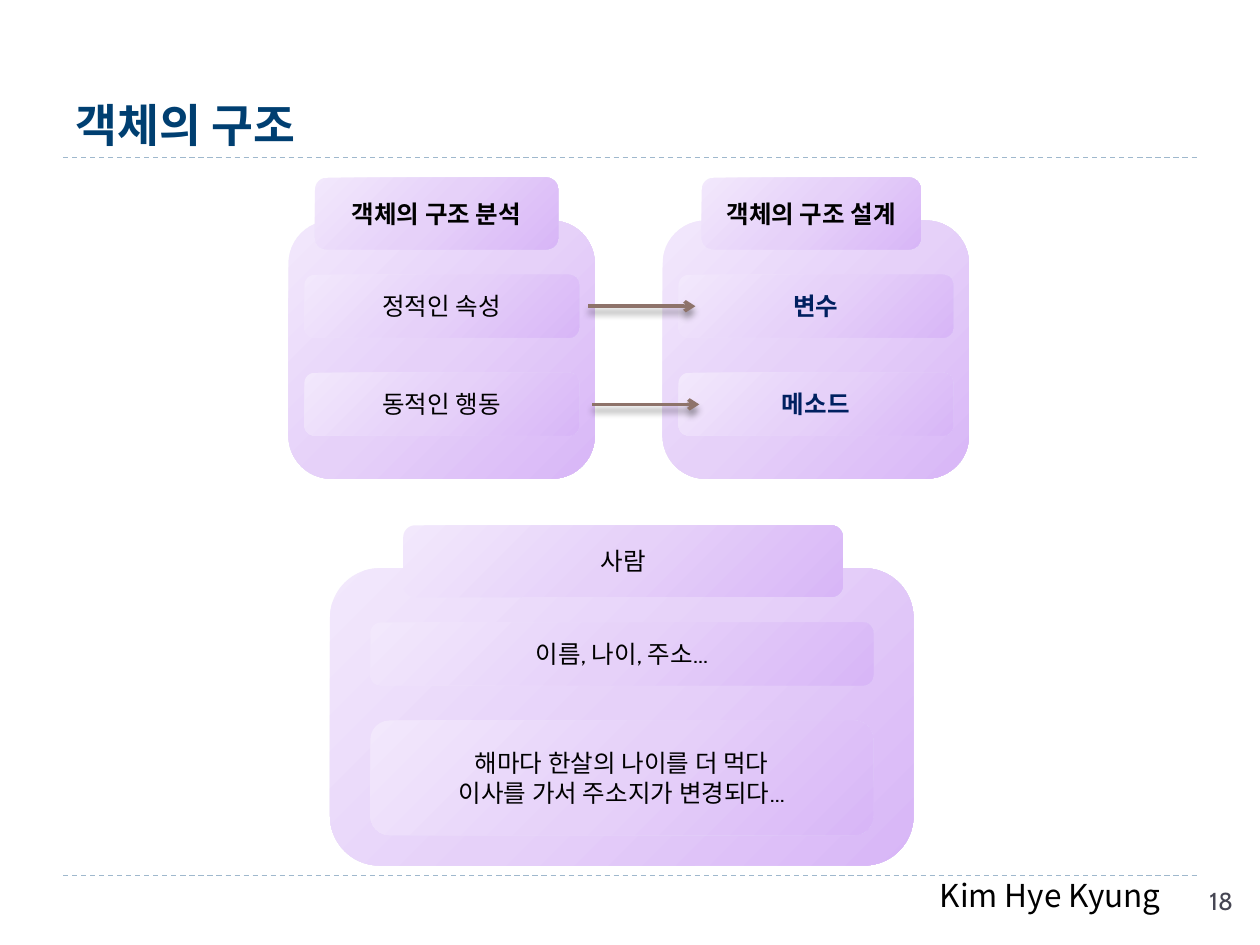
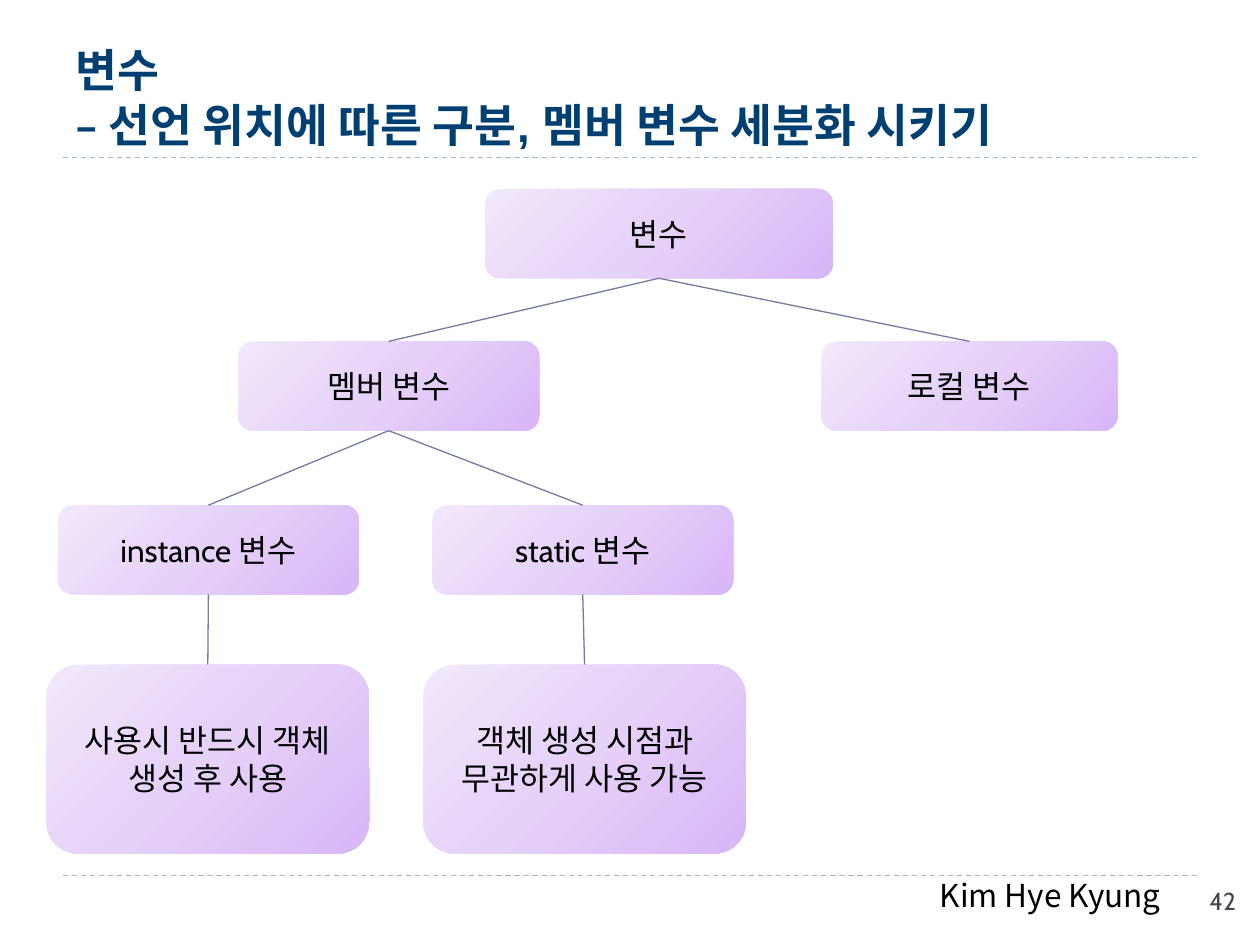
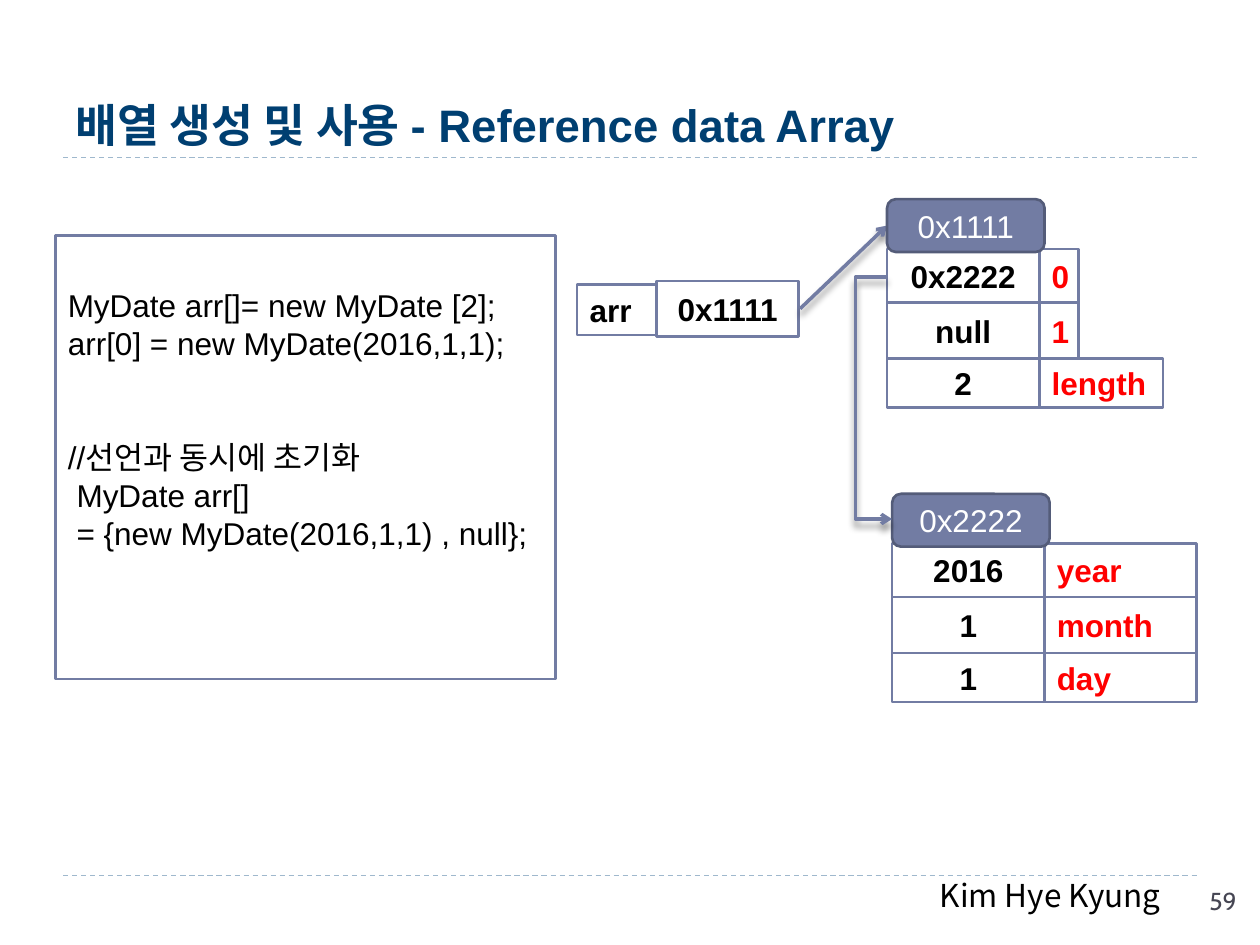
from pptx import Presentation
from pptx.dml.color import RGBColor
from pptx.enum import dml, shapes, text
from pptx.oxml import parse_xml
from pptx.oxml.ns import nsdecls, qn
from pptx.util import Pt

BLACK, WHITE, RED, NAVY = "000000", "FFFFFF", "FF0000", "002060"
TITLE, RULE, PAGE = "003F71", "9FB8CD", "464653"
SLATE, EDGE, BROWN = "727CA3", "545C79", "8E736A"
LILAC = [(0, "D8B6F7"), (50, "E6D1F9"), (100, "F2E8FC")]
BODY, CODE, FOOT = "Cabin", "Arial", "Noto Sans CJK KR"
ROUND = shapes.MSO_SHAPE.ROUNDED_RECTANGLE
RECT = shapes.MSO_SHAPE.RECTANGLE
LEFT, MID = text.PP_ALIGN.LEFT, text.PP_ALIGN.CENTER


def hue(code):
    """Turn a hex string into a colour."""
    return RGBColor.from_string(code)


def pts(box):
    """Turn plain numbers into point lengths."""
    return [Pt(n) for n in box]


def write(frame, lines, size, font=BODY, color=BLACK, bold=False, align=LEFT):
    """Fill a text frame with one paragraph for each line."""
    frame.word_wrap = True
    for i, line in enumerate(lines):
        para = frame.paragraphs[0] if i == 0 else frame.add_paragraph()
        para.alignment = align
        for j, part in enumerate(line.split("\v")):
            if j:
                para.add_line_break()
            run = para.add_run()
            run.text = part
            run.font.size, run.font.bold = Pt(size), bold
            run.font.name = font
            run.font.color.rgb = hue(color)
            east = FOOT if font == FOOT else BODY
            run.font._element.append(
                parse_xml(f'<a:ea {nsdecls("a")} typeface="{east}"/>'))


def glow(shape):
    """Fill a shape with the lilac gradient that spreads from its corner."""
    stops = "".join(
        f'<a:gs pos="{pos * 1000}"><a:srgbClr val="{code}"/></a:gs>'
        for pos, code in LILAC)
    shape.fill.background()
    props = shape._element.spPr
    props.replace(props.find(qn("a:noFill")), parse_xml(
        f'<a:gradFill {nsdecls("a")} rotWithShape="1"><a:gsLst>{stops}</a:gsLst>'
        '<a:path path="circle"><a:fillToRect l="100000" t="100000"/></a:path>'
        '</a:gradFill>'))


def block(slide, kind, box, lines=(), size=18, fill=None, edge=None, **style):
    """Add a shape with text; it is lilac when no fill is given."""
    shape = slide.shapes.add_shape(kind, *pts(box))
    if fill:
        shape.fill.solid()
        shape.fill.fore_color.rgb = hue(fill)
    else:
        glow(shape)
    if edge:
        shape.line.color.rgb = hue(edge)
        shape.line.width = Pt(1.5)
    else:
        shape.line.fill.background()
    shape.shadow.inherit = False
    shape.text_frame.vertical_anchor = text.MSO_ANCHOR.MIDDLE
    write(shape.text_frame, lines, size, **style)
    return shape


def link(slide, start, end, color, width=0.75, arrow=False, dash=False,
         kind=shapes.MSO_CONNECTOR.STRAIGHT):
    """Join two points; an arrow also casts a soft shadow."""
    line = slide.shapes.add_connector(kind, *pts((*start, *end)))
    line.line.color.rgb = hue(color)
    line.line.width = Pt(width)
    if dash:
        line.line.dash_style = dml.MSO_LINE.DASH
    shade = ""
    if arrow:
        line.line._get_or_add_ln().append(
            parse_xml(f'<a:tailEnd {nsdecls("a")} type="arrow"/>'))
        shade = (f'<a:outerShdw blurRad="{Pt(4)}" dist="{Pt(3.4)}" dir="5400000" '
                 'rotWithShape="0"><a:srgbClr val="000000"><a:alpha val="40000"/>'
                 '</a:srgbClr></a:outerShdw>')
    line._element.spPr.append(
        parse_xml(f'<a:effectLst {nsdecls("a")}>{shade}</a:effectLst>'))
    return line


def label(slide, box, words, size, **style):
    """Add a plain line of text."""
    area = slide.shapes.add_textbox(*pts(box))
    write(area.text_frame, [words], size, **style)


def start(deck, title, page):
    """Add a slide with its title, rules and footer."""
    slide = deck.slides.add_slide(deck.slide_layouts[5])
    for y in (500.4, 90):
        link(slide, (36, y), (684, y), RULE, dash=True)
    label(slide, (529.9, 496.8, 151.2, 28.8), "Kim Hye Kyung", 18, font=FOOT)
    head = slide.shapes.title
    head.left, head.top, head.width, head.height = pts((36, 12.2, 648, 77.8))
    head.text_frame.vertical_anchor = text.MSO_ANCHOR.BOTTOM
    head.text_frame.auto_size = text.MSO_AUTO_SIZE.NONE
    write(head.text_frame, [title], 26, font=CODE, color=TITLE, bold=True)
    label(slide, (684, 502.6, 36, 28.8), page, 14, color=PAGE)
    return slide


def panel(slide, box, head, tab, inset, rows, strong=False):
    """Draw a panel with a tab on its top edge and two rows inside."""
    x, y, wide, _ = box
    shift, span = tab
    block(slide, ROUND, box)
    block(slide, ROUND, (x + shift, y - 24.5, span, 41), [head], 14,
          bold=strong, align=MID)
    for drop, (lines, high, color, bold) in zip((31, 87), rows):
        block(slide, ROUND, (x + inset, y + drop, wide - 2 * inset, high),
              lines, 14, color=color, bold=bold, align=MID)


def build_parts(deck):
    """Show how the parts of an object map to code."""
    slide = start(deck, "객체의 구조", "18")
    panel(slide, (378.7, 126, 175, 147.6), "객체의 구조 설계", (22.3, 125.3), 9,
          [(["변수"], 36, NAVY, True), (["메소드"], 36, NAVY, True)], True)
    panel(slide, (188.6, 324.7, 333.4, 169.9), "사람", (41.8, 251.3), 23,
          [(["이름, 나이, 주소..."], 36, BLACK, False),
           (["해마다 한살의 나이를 더 먹다", "이사를 가서 주소지가 변경되다..."],
            65.5, BLACK, False)])
    panel(slide, (164.9, 126, 175, 147.6), "객체의 구조 분석", (15.1, 139), 9,
          [(["정적인 속성"], 36, BLACK, False),
           (["동적인 행동"], 36, BLACK, False)], True)
    for x, y in ((336.2, 175), (338.4, 231.1)):
        link(slide, (x, y), (x + 61.2, y), BROWN, 2, arrow=True)


def build_tree(deck):
    """Show the kinds of variables as a tree."""
    slide = start(deck, "변수\v– 선언 위치에 따른 구분, 멤버 변수 세분화 시키기", "42")
    nodes = {
        "root": ("변수", 277.2, 108, 198.7, 51),
        "member": ("멤버 변수", 136.1, 195.1, 172, 51),
        "local": ("로컬 변수", 469.4, 195.1, 169.2, 51),
        "instance": ("instance 변수", 33.1, 288.7, 172, 51),
        "static": ("static 변수", 247, 288.7, 172, 51),
        "after": ("사용시 반드시 객체 생성 후 사용", 26.6, 379.8, 184.3, 108),
        "free": ("객체 생성 시점과 무관하게 사용 가능", 241.9, 379.8, 184.3, 108),
    }
    for words, *box in nodes.values():
        block(slide, ROUND, box, [words], align=MID)
    for top, low in (("root", "member"), ("root", "local"),
                     ("member", "instance"), ("instance", "after"),
                     ("member", "static"), ("static", "free")):
        _, x, y, wide, high = nodes[top]
        _, left, down, span, _ = nodes[low]
        link(slide, (x + wide / 2, y + high), (left + span / 2, down), SLATE)


def cell(slide, box, words, color=BLACK, align=MID):
    """Draw one white memory cell."""
    block(slide, RECT, box, [words], fill=WHITE, edge=SLATE,
          font=CODE, color=color, bold=True, align=align)


def record(slide, x, y, head, rows):
    """Draw a block of memory under its address."""
    top = y + 28.5
    for (value, name, span), high in zip(rows, (30.5, 32, 28)):
        cell(slide, (x, top, 87, high), value)
        cell(slide, (x + 87, top, span, high), name, RED, LEFT)
        top += high
    block(slide, ROUND, (x, y, 90, 30.2), [head], fill=SLATE, edge=EDGE,
          font=CODE, color=WHITE, align=MID)


def listing(slide, box):
    """Draw the box of code."""
    lines = ["MyDate arr[]= new MyDate [2];", "arr[0] = new MyDate(2016,1,1);",
             "//선언과 동시에 초기화", " MyDate arr[]",
             " = {new MyDate(2016,1,1) , null};"]
    frame = block(slide, RECT, box, lines, fill=WHITE, edge=SLATE,
                  font=CODE).text_frame
    frame.vertical_anchor = text.MSO_ANCHOR.TOP
    frame.margin_top = Pt(29)
    for para in frame.paragraphs:
        para.line_spacing = Pt(21.7)
    frame.paragraphs[2].space_before = Pt(43.4)


def build_array(deck):
    """Show an array of references in memory."""
    slide = start(deck, "배열 생성 및 사용 - Reference data Array", "59")
    listing(slide, (31.7, 134.6, 285.8, 253.4))
    cell(slide, (375.1, 160.6, 81.4, 31.7), "0x1111")
    cell(slide, (329.8, 162.7, 45.4, 28.8), "arr", align=LEFT)
    link(slide, (457.2, 176.4), (506.9, 128.9), SLATE, 2, arrow=True)
    record(slide, 506.9, 113.8, "0x1111",
           [("0x2222", "0", 22.3), ("null", "1", 22.3), ("2", "length", 70.6)])
    record(slide, 509.8, 282.2, "0x2222",
           [("2016", "year", 87), ("1", "month", 87), ("1", "day", 87)])
    bend = link(slide, (506.9, 158.4), (509.8, 296.6), SLATE, 2, arrow=True,
                kind=shapes.MSO_CONNECTOR.ELBOW)
    ratio = round(-18 / 2.9 * 100000)
    bend._element.spPr.find(qn("a:prstGeom")).get_or_add_avLst().append(
        parse_xml(f'<a:gd {nsdecls("a")} name="adj1" fmla="val {ratio}"/>'))


def main():
    """Build the deck and save it."""
    deck = Presentation()
    deck.slide_width, deck.slide_height = pts((720, 540))
    build_parts(deck)
    build_tree(deck)
    build_array(deck)
    deck.save("out.pptx")


if __name__ == "__main__":
    main()
